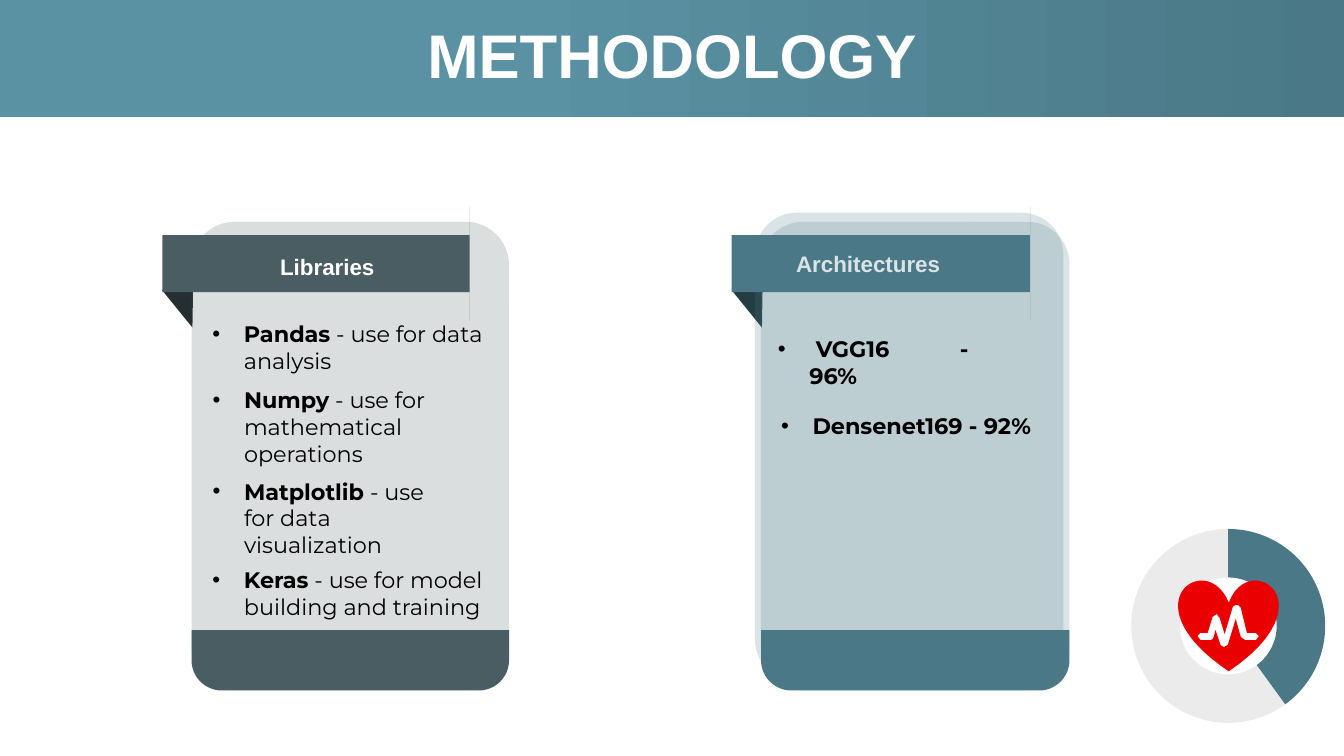
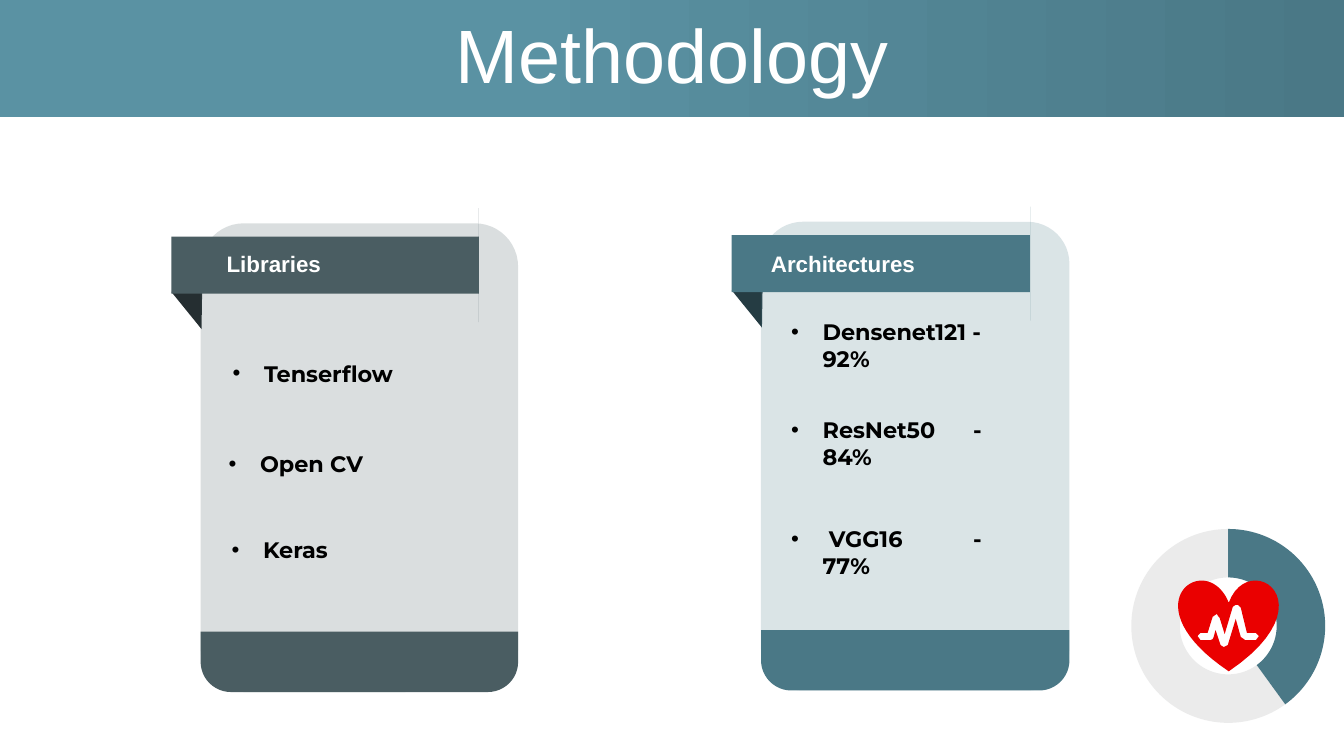
from dataclasses import dataclass
from typing import Optional

from lxml.etree import SubElement
from pptx import Presentation
from pptx.chart.data import CategoryChartData
from pptx.dml.color import RGBColor
from pptx.enum.chart import XL_CHART_TYPE as ChartType
from pptx.enum.shapes import MSO_SHAPE as Preset
from pptx.enum.text import MSO_ANCHOR as Anchor, MSO_AUTO_SIZE as AutoSize, PP_ALIGN as Align
from pptx.oxml.ns import qn
from pptx.util import Pt

SLIDE_WIDTH, SLIDE_HEIGHT = 960, 540
WHITE, BLACK, RED = "FFFFFF", "000000", "EA0000"
TEAL, LIGHT_TEAL, DARK_TEAL = "4A7886", "5A92A3", "253C43"
SLATE, DARK_SLATE, GREY = "4A5D62", "252E31", "BEBFBF"
HEADING_FONT, BODY_FONT = "Arial", "Montserrat"
BODY_HEIGHT, FOOT_HEIGHT = 334.8, 43.2
DASH_TAB = 130
HEART_LEFT, HEART_TOP = 841.7, 414.7
HEART_START = (16.6, 0)
HEART_CURVES = [
    ((23.8, 0), (31.7, 5), (36, 15.8)),
    ((50.4, -23), (108.7, 15.8), (36, 64.8)),
    ((-16.6, 29.5), (-1.4, 0), (16.6, 0)),
]
PULSE = [
    (41, 17.3), (38.9, 18.7), (33.1, 38.2), (29.5, 26.6), (28.8, 25.9), (27.4, 23.8),
    (24.5, 25.9), (20.9, 37.4), (15.8, 37.4), (13.7, 39.6), (15.8, 42.5), (23, 42.5),
    (24.5, 41.8), (25.2, 40.3), (26.6, 35.3), (30.2, 46.1), (32.4, 47.5), (35.3, 46.1),
    (41, 27.4), (44.6, 40.3), (46.8, 41.8), (47.5, 42.5), (55.4, 42.5), (57.6, 39.6),
    (55.4, 37.4), (49, 37.4), (44.6, 19.4), (42.5, 17.3),
]


@dataclass
class Box:
    left: float
    top: float
    width: float
    height: float


@dataclass
class Card:
    left: float
    top: float
    width: float
    color: str
    fold_color: str
    label: str
    label_left: float
    label_top: float


@dataclass
class Item:
    left: float
    top: float
    width: float
    name: str
    detail: str = ""


@dataclass
class Page:
    title: str
    title_size: float
    title_bold: bool
    cards: list[Card]
    items: list[Item]
    overlay: Optional[Box] = None


def libraries_card(left: float, top: float, label_left: float, label_top: float) -> Card:
    return Card(left, top, 226.8, SLATE, DARK_SLATE, "Libraries", label_left, label_top)


def architectures_card(label_left: float) -> Card:
    return Card(543.6, 158.4, 220.3, TEAL, DARK_TEAL, "Architectures", label_left, 175)


PAGES = [
    Page(
        "METHODOLOGY", 44, True,
        [architectures_card(561.6), libraries_card(136.8, 158.4, 193, 177.1)],
        [
            Item(144.7, 225.4, 211, "Pandas", " - use for data analysis"),
            Item(144.7, 272.2, 200.9, "Numpy", " - use for mathematical operations"),
            Item(144.7, 337.7, 184, "Matplotlib", " - use for data visualization"),
            Item(144.7, 401, 211, "Keras", " - use for model building and training"),
            Item(550.8, 290.9, 200.2, "Densenet169 - 92%"),
            Item(548.6, 236.2, 190.8, " VGG16\t-\v96%"),
        ],
        Box(539.3, 151.9, 220.3, BODY_HEIGHT),
    ),
    Page(
        "Methodology", 54, False,
        [architectures_card(543.6), libraries_card(143.3, 159.5, 154.8, 175)],
        [
            Item(159.1, 253.4, 211, "Tenserflow"),
            Item(156.2, 318.2, 200.9, "Open CV"),
            Item(158.4, 379.4, 211, "Keras"),
            Item(558, 223.9, 190.8, "Densenet121 -\v92%"),
            Item(558, 293.8, 190.8, "ResNet50\t-\v84%"),
            Item(558, 371.5, 190.8, " VGG16\t-\v77%"),
        ],
    ),
]


def rgb(color: str) -> RGBColor:
    return RGBColor.from_string(color)


def set_opacity(element, color: str, percent: int) -> None:
    for node in element.iter(qn("a:srgbClr")):
        if node.get("val") == color:
            SubElement(node, qn("a:alpha")).set("val", str(percent * 1000))


def paint(shape, color: str, opacity: int = 100) -> None:
    shape.shadow.inherit = False
    shape.line.fill.background()
    shape.fill.solid()
    shape.fill.fore_color.rgb = rgb(color)
    if opacity < 100:
        set_opacity(shape.element, color, opacity)


def add_preset(shapes, preset, box: Box, color: str, adjustments=(), opacity: int = 100):
    shape = shapes.add_shape(preset, Pt(box.left), Pt(box.top), Pt(box.width), Pt(box.height))
    for index, value in enumerate(adjustments):
        shape.adjustments[index] = value
    paint(shape, color, opacity)
    return shape


def add_outline(shapes, contours, left: float, top: float, color: str) -> None:
    def place(point):
        return Pt(left + point[0]), Pt(top + point[1])

    builder = shapes.build_freeform(*place(contours[0][0]), scale=1.0)
    for index, contour in enumerate(contours):
        if index:
            builder.move_to(*place(contour[0]))
        builder.add_line_segments([place(point) for point in contour[1:]], close=True)
    paint(builder.convert_to_shape(), color)


def flatten(start, curves, steps: int = 24):
    points = [start]
    for first, second, end in curves:
        begin = points[-1]
        for step in range(1, steps + 1):
            t = step / steps
            u = 1 - t
            points.append(tuple(
                u**3 * a + 3 * u * u * t * b + 3 * u * t * t * c + t**3 * d
                for a, b, c, d in zip(begin, first, second, end)
            ))
    return points


def set_font(font, name: str, size: float, color: str, bold: Optional[bool]) -> None:
    font.name, font.size, font.bold = name, Pt(size), bold
    font.color.rgb = rgb(color)


def add_text_box(slide, left: float, top: float, width: float):
    shape = slide.shapes.add_textbox(Pt(left), Pt(top), Pt(width), Pt(26.6))
    shape.text_frame.word_wrap = True
    shape.text_frame.auto_size = AutoSize.SHAPE_TO_FIT_TEXT
    return shape.text_frame.paragraphs[0]


def add_panel(shapes, box: Box, color: str) -> None:
    add_preset(shapes, Preset.ROUNDED_RECTANGLE, box, color, [0.136], 20)


def add_card(slide, card: Card) -> None:
    shapes = slide.shapes.add_group_shape().shapes
    ribbon_left = card.left - 20.9
    add_outline(shapes, [[(0, 0), (22, 0.4), (21.6, 26.6)]], ribbon_left, card.top + 49, card.fold_color)
    add_panel(shapes, Box(card.left, card.top, card.width, BODY_HEIGHT), card.color)
    foot_top = card.top + BODY_HEIGHT - FOOT_HEIGHT
    foot = add_preset(shapes, Preset.ROUND_2_SAME_RECTANGLE,
                      Box(card.left, foot_top, card.width, FOOT_HEIGHT), card.color, [0.5, 0])
    foot.rotation = 180
    add_preset(shapes, Preset.RIGHT_ARROW,
               Box(ribbon_left, card.top - 10.8, card.width - 7.2, 81.4), card.color, [0.5, 0])


def add_label(slide, card: Card) -> None:
    paragraph = add_text_box(slide, card.label_left, card.label_top, 152.6)
    paragraph.text = card.label
    set_font(paragraph.font, HEADING_FONT, 16, WHITE, True)


def add_item(slide, item: Item) -> None:
    paragraph = add_text_box(slide, item.left, item.top, item.width)
    paragraph.text = item.name
    properties = paragraph._p.get_or_add_pPr()
    properties.set("marL", str(Pt(22.5)))
    properties.set("indent", str(-Pt(22.5)))
    SubElement(properties, qn("a:buFont")).set("typeface", "Arial")
    SubElement(properties, qn("a:buChar")).set("char", "•")
    if "\t" in item.name:
        tab = SubElement(SubElement(properties, qn("a:tabLst")), qn("a:tab"))
        tab.set("pos", str(Pt(DASH_TAB)))
        tab.set("algn", "l")
    set_font(paragraph.font, BODY_FONT, 16, BLACK, None if item.detail else True)
    if item.detail:
        paragraph.runs[0].font.bold = True
        detail = paragraph.add_run()
        detail.text = item.detail
        detail.font.bold = False


def add_doughnut(slide) -> None:
    data = CategoryChartData()
    data.categories = ["1", "2"]
    data.add_series("Series 1", [40, 60])
    chart = slide.shapes.add_chart(
        ChartType.DOUGHNUT, Pt(794.9), Pt(367.9), Pt(164.9), Pt(158.4), data).chart
    chart.has_legend = False
    chart.has_title = False
    set_font(chart.font, HEADING_FONT, 18, BLACK, False)
    plot = chart.plots[0]
    plot.vary_by_categories = True
    for index, color in enumerate([TEAL, GREY]):
        fill = plot.series[0].points[index].format.fill
        fill.solid()
        fill.fore_color.rgb = rgb(color)
    set_opacity(chart.element, GREY, 30)
    for hole in chart.element.iter(qn("c:holeSize")):
        hole.set("val", "75")


def add_title(slide, page: Page) -> None:
    title = slide.shapes.title
    title.left, title.top, title.width, title.height = Pt(24.5), Pt(13.7), Pt(911.5), Pt(56.9)
    frame = title.text_frame
    frame.text = page.title
    frame.word_wrap = True
    frame.auto_size = AutoSize.NONE
    frame.vertical_anchor = Anchor.MIDDLE
    paragraph = frame.paragraphs[0]
    paragraph.alignment = Align.CENTER
    paragraph.line_spacing = 0.9
    set_font(paragraph.font, HEADING_FONT, page.title_size, WHITE, page.title_bold)


def add_band(slide) -> None:
    band = add_preset(slide.shapes, Preset.RECTANGLE, Box(0, 0, SLIDE_WIDTH, 83.5), TEAL)
    band.fill.gradient()
    band.fill.gradient_angle = 0
    for stop, position, color in zip(band.fill.gradient_stops, (0.38, 1), (LIGHT_TEAL, TEAL)):
        stop.position = position
        stop.color.rgb = rgb(color)
    slide.slide_layout.shapes.element.insert(2, band.element)


def add_page(slide, page: Page) -> None:
    add_title(slide, page)
    for card in page.cards:
        add_card(slide, card)
    for card in page.cards:
        add_label(slide, card)
    add_doughnut(slide)
    heart = flatten(HEART_START, HEART_CURVES)
    add_outline(slide.shapes, [heart, PULSE], HEART_LEFT, HEART_TOP, RED)
    if page.overlay:
        add_panel(slide.shapes, page.overlay, TEAL)
    for item in page.items:
        add_item(slide, item)


def main() -> None:
    presentation = Presentation()
    presentation.slide_width, presentation.slide_height = Pt(SLIDE_WIDTH), Pt(SLIDE_HEIGHT)
    layout = presentation.slide_layouts[5]
    slides = [presentation.slides.add_slide(layout) for _ in PAGES]
    add_band(slides[0])
    for slide, page in zip(slides, PAGES):
        add_page(slide, page)
    presentation.save("out.pptx")


if __name__ == "__main__":
    main()
